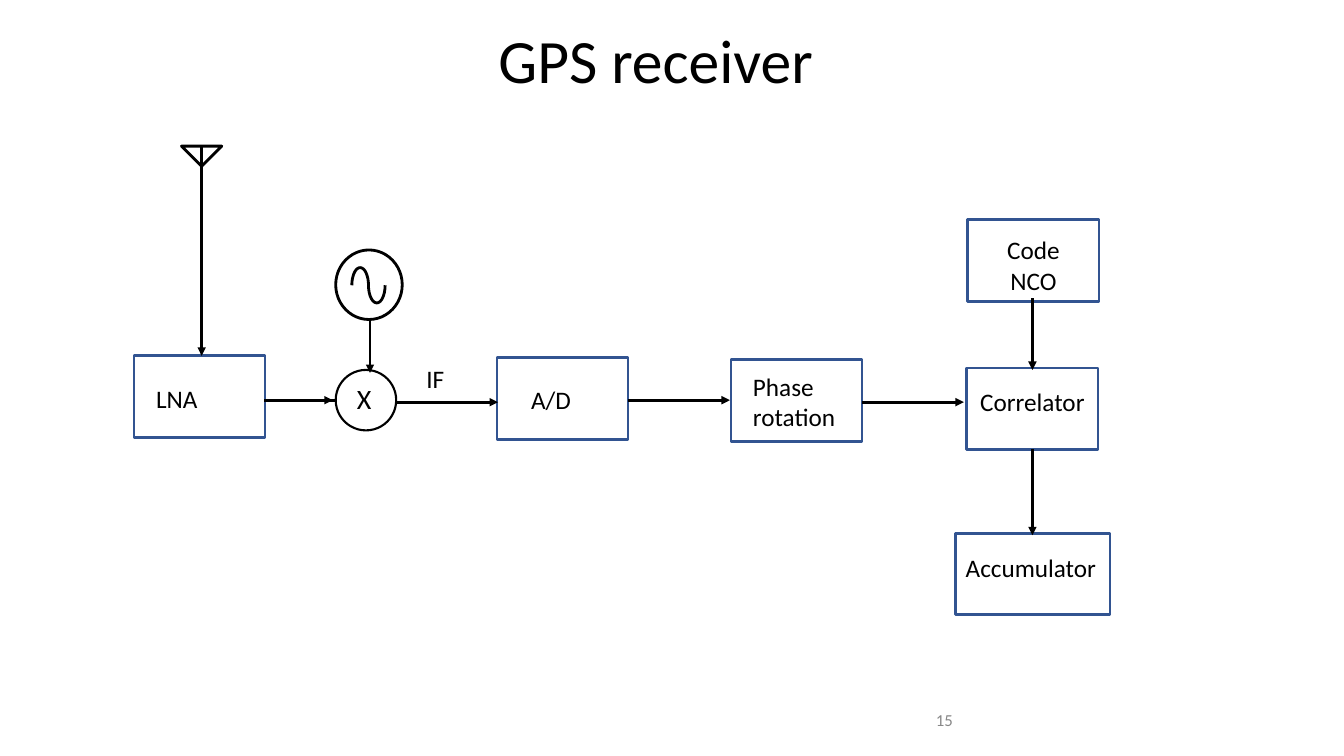
from dataclasses import dataclass
from math import cos, pi, sin

from lxml.etree import SubElement
from pptx import Presentation
from pptx.dml.color import RGBColor
from pptx.enum.shapes import MSO_CONNECTOR as Connector, MSO_SHAPE as Shape
from pptx.enum.text import MSO_ANCHOR as Anchor, MSO_AUTO_SIZE as AutoSize, PP_ALIGN as Align
from pptx.oxml.ns import qn
from pptx.util import Pt

PX = 9144  # EMU, 100 px to the inch
BLACK = RGBColor(0x00, 0x00, 0x00)
BLUE = RGBColor(0x32, 0x54, 0x91)
GREY = RGBColor(0x88, 0x88, 0x88)
FONT = "Calibri"
BLOCK_WIDTH, BLOCK_HEIGHT = 130, 81


@dataclass(frozen=True)
class Label:
    text: str
    left: int
    top: int
    width: int
    height: int
    size: int = 18
    align: Align = Align.LEFT
    color: RGBColor = BLACK
    anchor: Anchor = Anchor.TOP
    inset: tuple[int, int] = (10, 5)


@dataclass(frozen=True)
class Block:
    left: int
    top: int
    label: Label
    width: int = BLOCK_WIDTH


@dataclass(frozen=True)
class Circle:
    left: int
    top: int
    width: int
    height: int
    line_width: float


@dataclass(frozen=True)
class Wire:
    start: tuple[int, int]
    end: tuple[int, int]
    arrow: bool = True


BLOCKS = [
    Block(133, 353, Label("LNA", 145, 375, 106, 40)),
    Block(493, 355, Label("A/D", 517, 376, 106, 40)),
    Block(725, 357, Label("Phase rotation", 737, 363, 106, 71)),
    Block(959, 365, Label("Correlator", 959, 378, 130, 40, align=Align.CENTER)),
    Block(948, 529, Label("Accumulator", 948, 543, 153, 40), width=153),
    Block(960, 218, Label("Code\nNCO", 960, 228, 130, 71, align=Align.CENTER)),
]
MIXER = Circle(333, 367, 60, 60, 1.5)
OSCILLATOR = Circle(333, 248, 66, 69, 2)
LABELS = [
    Label("GPS receiver", 20, 17, 1261, 84, 44, Align.CENTER),
    Label("15", 717, 700, 233, 29, 12, Align.RIGHT, GREY, Anchor.MIDDLE, (5, 5)),
    Label("X", 344, 374, 49, 44, 20),
    Label("IF", 413, 356, 53, 40),
]
WIRES = [
    Wire((200, 145), (200, 185), arrow=False),
    Wire((313, 397), (333, 397), arrow=False),
    Wire((200, 165), (200, 353)),
    Wire((262, 397), (330, 397)),
    Wire((367, 317), (367, 370)),
    Wire((393, 399), (494, 399)),
    Wire((623, 397), (724, 397)),
    Wire((855, 399), (956, 399)),
    Wire((1024, 296), (1024, 367)),
    Wire((1024, 445), (1024, 531)),
]
ANTENNA = [(180, 145), (200, 165), (220, 145)]
SINE_LEFT, SINE_MIDDLE, SINE_RADIUS_X, SINE_RADIUS_Y = 349, 283, 8.25, 17.5
ARC_STEPS = 24


def draw_outline(shape, color: RGBColor, width: float) -> None:
    shape.shadow.inherit = False
    shape.fill.background()
    shape.line.color.rgb = color
    shape.line.width = Pt(width)


def draw_preset(shapes, kind: Shape, box: tuple[int, ...], color: RGBColor, width: float) -> None:
    shape = shapes.add_shape(kind, *(length * PX for length in box))
    draw_outline(shape, color, width)


def draw_label(shapes, label: Label) -> None:
    box = (label.left, label.top, label.width, label.height)
    frame = shapes.add_textbox(*(length * PX for length in box)).text_frame
    side, end = (length * PX for length in label.inset)
    frame_format = {
        "word_wrap": True, "auto_size": AutoSize.SHAPE_TO_FIT_TEXT,
        "vertical_anchor": label.anchor, "margin_left": side, "margin_right": side,
        "margin_top": end, "margin_bottom": end,
    }
    for name, value in frame_format.items():
        setattr(frame, name, value)
    frame.text = label.text
    for paragraph in frame.paragraphs:
        paragraph.alignment = label.align
        for run in paragraph.runs:
            for name, value in {"name": FONT, "size": Pt(label.size)}.items():
                setattr(run.font, name, value)
            run.font.color.rgb = label.color


def draw_block(shapes, block: Block) -> None:
    box = (block.left, block.top, block.width, BLOCK_HEIGHT)
    draw_preset(shapes, Shape.RECTANGLE, box, BLUE, 2)
    draw_label(shapes, block.label)


def draw_circle(shapes, circle: Circle) -> None:
    box = (circle.left, circle.top, circle.width, circle.height)
    draw_preset(shapes, Shape.OVAL, box, BLACK, circle.line_width)


def draw_wire(shapes, wire: Wire) -> None:
    ends = (length * PX for length in (*wire.start, *wire.end))
    connector = shapes.add_connector(Connector.STRAIGHT, *ends)
    connector.line.color.rgb = BLACK
    connector.line.width = Pt(2)
    if wire.arrow:
        SubElement(connector.line._get_or_add_ln(), qn("a:tailEnd"), type="triangle")
    SubElement(connector._element.spPr, qn("a:effectLst"))


def draw_path(shapes, points: list[tuple[float, float]], close: bool) -> None:
    first, *rest = [(round(x * PX), round(y * PX)) for x, y in points]
    builder = shapes.build_freeform(*first)
    builder.add_line_segments(rest, close=close)
    draw_outline(builder.convert_to_shape(), BLACK, 2)


def sine_points() -> list[tuple[float, float]]:
    """Trace an upper half ellipse followed by a lower one."""
    points = []
    for half, direction in enumerate((-1, 1)):
        center = SINE_LEFT + (2 * half + 1) * SINE_RADIUS_X
        for step in range(ARC_STEPS + 1):
            angle = pi * step / ARC_STEPS
            points.append((center - SINE_RADIUS_X * cos(angle),
                           SINE_MIDDLE + direction * SINE_RADIUS_Y * sin(angle)))
    return points


def main() -> None:
    presentation = Presentation()
    presentation.slide_width = 1333 * PX
    presentation.slide_height = 750 * PX
    shapes = presentation.slides.add_slide(presentation.slide_layouts[6]).shapes
    for circle in (MIXER, OSCILLATOR):
        draw_circle(shapes, circle)
    draw_path(shapes, ANTENNA, close=True)
    draw_path(shapes, sine_points(), close=False)
    for block in BLOCKS:
        draw_block(shapes, block)
    for label in LABELS:
        draw_label(shapes, label)
    for wire in WIRES:
        draw_wire(shapes, wire)
    presentation.save("out.pptx")


if __name__ == "__main__":
    main()
